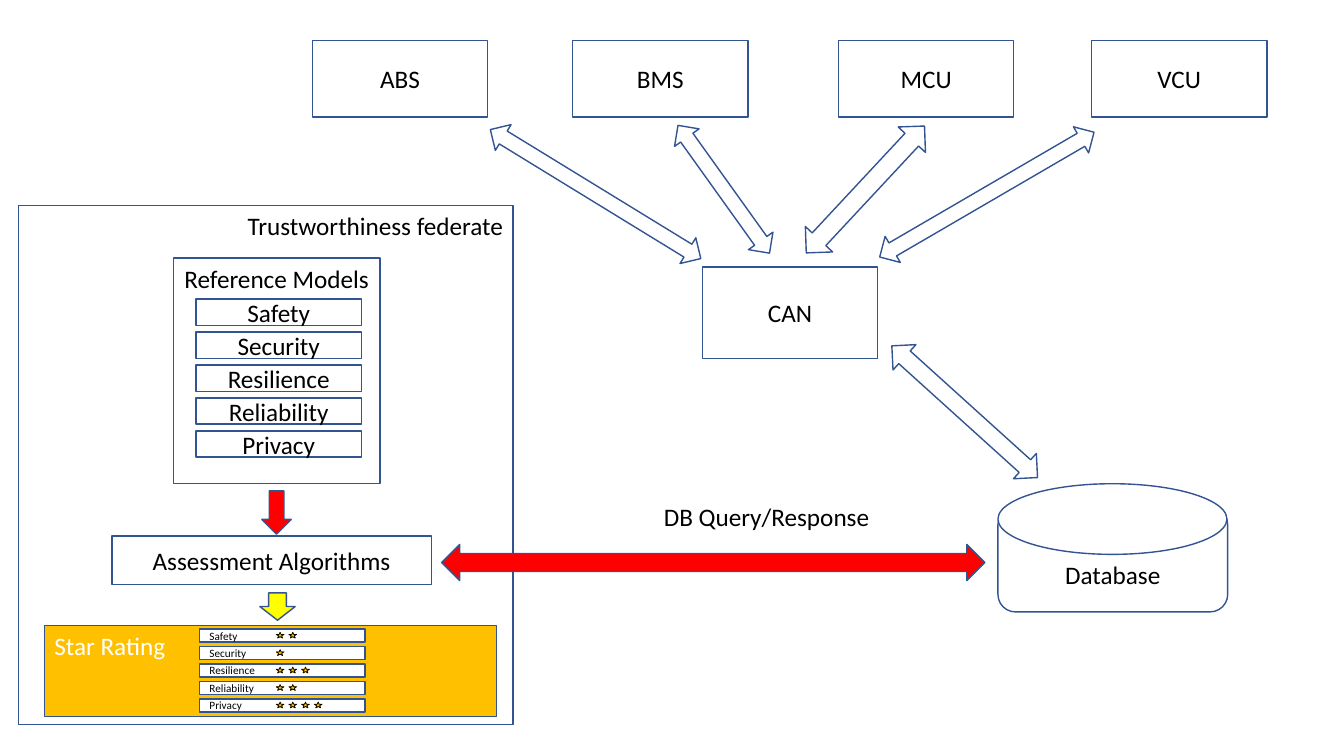
import copy
import pptx
import pptx.dml.color
import pptx.enum.shapes
import pptx.enum.text
import pptx.util

Cm = pptx.util.Cm
Pt = pptx.util.Pt
RGBColor = pptx.dml.color.RGBColor
KIND = pptx.enum.shapes.MSO_SHAPE
ALIGN = pptx.enum.text.PP_ALIGN
ANCHOR = pptx.enum.text.MSO_ANCHOR

WHITE = RGBColor(0xFF, 0xFF, 0xFF)
BLACK = RGBColor(0x00, 0x00, 0x00)
BLUE = RGBColor(0x32, 0x54, 0x91)
RED = RGBColor(0xFF, 0x00, 0x00)
YELLOW = RGBColor(0xFF, 0xFF, 0x00)
GOLD = RGBColor(0xFF, 0xC0, 0x00)
LIGHT_GOLD = RGBColor(0xFF, 0xC6, 0x4B)
DARK_GOLD = RGBColor(0xE3, 0xAB, 0x00)

deck = pptx.Presentation()
deck.slide_width = Cm(33.87)
deck.slide_height = Cm(19.05)
page = deck.slides.add_slide(deck.slide_layouts[6])


def add_shape(kind, left, top, width, height, fill=WHITE, line=BLUE, weight=1):
    shape = page.shapes.add_shape(kind, Cm(left), Cm(top), Cm(width), Cm(height))
    shape.shadow.inherit = False
    shape.fill.solid()
    shape.fill.fore_color.rgb = fill
    shape.line.color.rgb = line
    shape.line.width = Pt(weight)
    return shape


def write(shape, text, size=18, color=BLACK, align=ALIGN.CENTER, anchor=ANCHOR.MIDDLE):
    shape.text_frame.word_wrap = True
    shape.text_frame.vertical_anchor = anchor
    para = shape.text_frame.paragraphs[0]
    para.alignment = align
    span = para.add_run()
    span.text = text
    span.font.name = "Calibri"
    span.font.size = Pt(size)
    span.font.color.rgb = color


# Control units and the bus
for unit, left in (("ABS", 7.87), ("BMS", 14.43), ("MCU", 21.13), ("VCU", 27.51)):
    write(add_shape(KIND.RECTANGLE, left, 1.02, 4.42, 1.93), unit)
write(add_shape(KIND.RECTANGLE, 17.7, 6.73, 4.42, 2.31), "CAN")

# Two-way arrows from the bus to the units and the database
for left, top, width, height, angle in (
    (14.63, 1.78, 0.76, 6.22, 301.5),
    (17.86, 2.79, 0.76, 3.96, 324.4),
    (21.34, 2.59, 0.94, 4.37, 43),
    (24.49, 1.78, 0.76, 6.25, 59.8),
    (23.88, 7.9, 0.86, 4.95, 132.1),
):
    bus_arrow = add_shape(KIND.UP_DOWN_ARROW, left, top, width, height)
    bus_arrow.rotation = angle

# Federate frame
federate = add_shape(KIND.RECTANGLE, 0.46, 5.18, 12.47, 13.08)
write(federate, "Trustworthiness federate", align=ALIGN.RIGHT, anchor=ANCHOR.TOP)

# Database, its label lowered below the lid
database = add_shape(KIND.ROUNDED_RECTANGLE, 25.15, 12.78, 5.79, 2.64)
write(database, "Database")
database.text_frame.margin_top = Cm(0.89)
add_shape(KIND.OVAL, 25.15, 12.19, 5.77, 1.78)

# Query between the algorithms and the database
add_shape(KIND.LEFT_RIGHT_ARROW, 11.13, 13.72, 13.69, 0.91, RED)
query_label = page.shapes.add_textbox(Cm(16.48), Cm(12.52), Cm(5.87), Cm(1.02))
write(query_label, "DB Query/Response", align=ALIGN.LEFT, anchor=ANCHOR.TOP)

# Reference models, algorithms and star rating panel
models = add_shape(KIND.RECTANGLE, 4.37, 6.5, 5.21, 5.69)
write(models, "Reference Models", anchor=ANCHOR.TOP)
write(add_shape(KIND.RECTANGLE, 2.82, 13.51, 8.05, 1.22), "Assessment Algorithms")
add_shape(KIND.DOWN_ARROW, 6.6, 12.37, 0.74, 1.09, RED)
add_shape(KIND.DOWN_ARROW, 6.55, 14.94, 0.89, 0.69, YELLOW)
rating = add_shape(KIND.RECTANGLE, 1.12, 15.77, 11.4, 2.29, GOLD)
write(rating, "Star Rating", color=WHITE, align=ALIGN.LEFT, anchor=ANCHOR.TOP)

# One model box and one rated row for each quality
qualities = (("Safety", 2), ("Security", 1), ("Resilience", 3), ("Reliability", 2), ("Privacy", 4))
for row, (quality, star_count) in enumerate(qualities):
    write(add_shape(KIND.RECTANGLE, 4.94, 7.54 + 0.83 * row, 4.17, 0.66), quality)
    row_top = 15.85 + 0.44 * row
    rated = add_shape(KIND.RECTANGLE, 5.03, row_top, 4.17, 0.33)
    write(rated, quality, size=8, align=ALIGN.LEFT)
    for number in range(star_count):
        star = add_shape(KIND.STAR_5_POINT, 6.96 + 0.32 * number, row_top + 0.08,
                         0.2, 0.15, line=BLACK, weight=0.5)
        star.fill.gradient()
        star.fill.gradient_angle = 270
        # A third stop, added between the two given ones
        stop_list = star.fill._fill._gradFill.gsLst
        stop_list.insert(1, copy.deepcopy(stop_list[0]))
        stops = star.fill.gradient_stops
        for stop, position, color in zip(stops, (0, 0.5, 1), (LIGHT_GOLD, GOLD, DARK_GOLD)):
            stop.position = position
            stop.color.rgb = color

deck.save("out.pptx")
